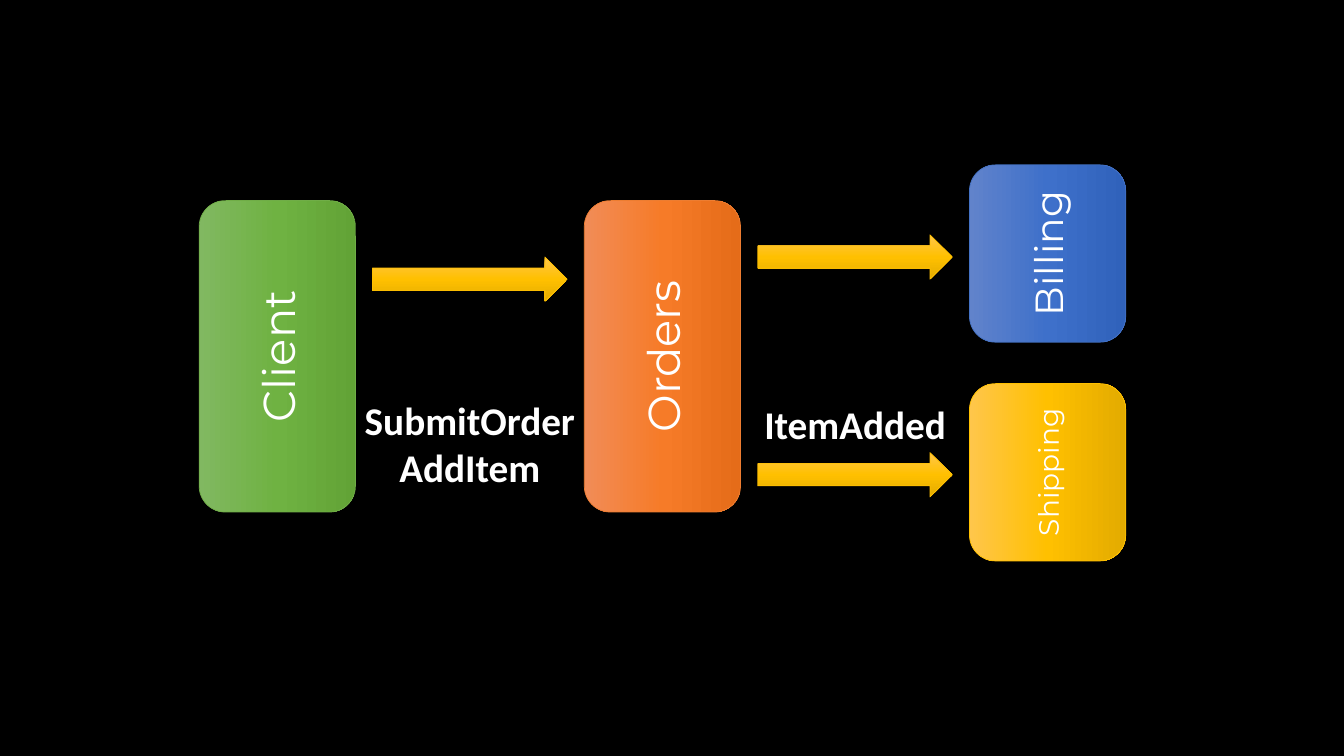
from copy import deepcopy

from pptx import Presentation
from pptx.dml.color import RGBColor
from pptx.enum.shapes import MSO_SHAPE as Preset
from pptx.enum.text import MSO_ANCHOR as Anchor, MSO_AUTO_SIZE as AutoSize, PP_ALIGN as Align
from pptx.util import Inches, Pt

FIRST_COLUMN, COLUMN_STEP = 2.75, 3.82
ROW_HEIGHT = 0.1
BLOCK_WIDTH = 1.55
ARROW_SIZE = (1.93, 0.44)
WHITE = "FFFFFF"
GREEN = (("81B861", "6FB242", "62A336"), "70AD47")
ORANGE = (("F18C57", "F67B28", "E56C19"), "ED7D31")
BLUE = (("6183CB", "3E70CA", "3062BB"), "4472C4")
GOLD = (("FFC64B", "FFC000", "E3AB00"), "FFC000")


def color(code):
    """Turn a hex string into a colour."""
    return RGBColor.from_string(code)


def centred(column, row, width, height):
    """Give the frame of an element centred on a grid position."""
    centre_x = FIRST_COLUMN + column * COLUMN_STEP
    centre_y = row * ROW_HEIGHT
    return [Inches(length) for length in
            (centre_x - width / 2, centre_y - height / 2, width, height)]


def paint(shape, theme):
    """Give a shape its three-stop gradient and thin outline."""
    shades, outline = theme
    shape.shadow.inherit = False
    shape.fill.gradient()
    shape.fill.gradient_angle = 270
    first = shape.fill.gradient_stops[0]._gs
    first.addnext(deepcopy(first))
    for index, (stop, shade) in enumerate(zip(shape.fill.gradient_stops, shades)):
        stop.position = index / 2
        stop.color.rgb = color(shade)
    shape.line.color.rgb = color(outline)
    shape.line.width = Pt(0.5)


def write(para, text, font, size, bold=False):
    """Add one centred white run to a paragraph."""
    para.alignment = Align.CENTER
    run = para.add_run()
    run.text = text
    run.font.name = font
    run.font.size = Pt(size)
    run.font.bold = bold
    run.font.color.rgb = color(WHITE)


def add_block(page, name, column, row, length, theme, size):
    """Add a service block turned to read upwards."""
    block = page.shapes.add_shape(
        Preset.ROUNDED_RECTANGLE, *centred(column, row, length, BLOCK_WIDTH))
    block.rotation = 270
    paint(block, theme)
    block.text_frame.vertical_anchor = Anchor.MIDDLE
    write(block.text_frame.paragraphs[0], name, "Montserrat", size)


def add_arrow(page, column, row):
    """Add a message arrow between two columns."""
    arrow = page.shapes.add_shape(Preset.RIGHT_ARROW, *centred(column, row, *ARROW_SIZE))
    paint(arrow, GOLD)


def add_messages(page, messages, column, row, width, height, wrap):
    """Add a label with one message per paragraph."""
    box = page.shapes.add_textbox(*centred(column, row, width, height))
    frame = box.text_frame
    frame.word_wrap = wrap
    frame.auto_size = AutoSize.SHAPE_TO_FIT_TEXT
    for index, message in enumerate(messages):
        para = frame.add_paragraph() if index else frame.paragraphs[0]
        write(para, message, "Calibri", 28, bold=True)


def main():
    """Build the message flow slide."""
    deck = Presentation()
    deck.slide_width, deck.slide_height = Inches(13.33), Inches(7.5)
    page = deck.slides.add_slide(deck.slide_layouts[6])
    page.background.fill.solid()
    page.background.fill.fore_color.rgb = color("000000")

    add_block(page, "Client", 0, 35.35, 3.09, GREEN, 32)
    add_block(page, "Orders", 1, 35.35, 3.09, ORANGE, 32)
    add_block(page, "Billing", 2, 25.15, 1.76, BLUE, 28)
    add_block(page, "Shipping", 2, 46.85, 1.76, GOLD, 20)
    for column, row in ((0.5, 27.7), (1.5, 25.5), (1.5, 47.1)):
        add_arrow(page, column, row)
    add_messages(page, ("SubmitOrder", "AddItem"), 0.5, 44, 2.46, 1.04, True)
    add_messages(page, ("ItemAdded",), 1.5, 42.05, 2.02, 0.57, False)
    deck.save("out.pptx")


if __name__ == "__main__":
    main()
